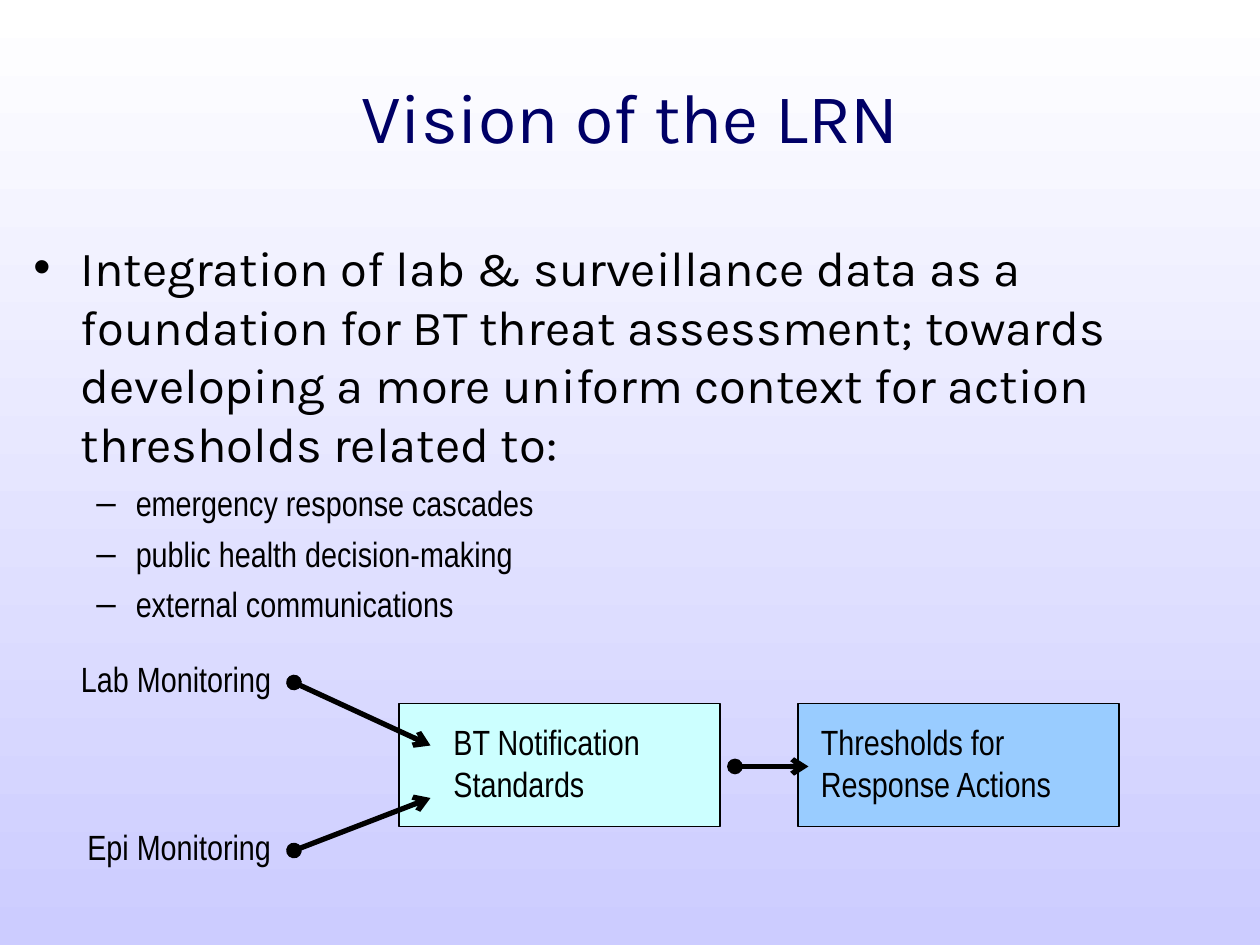
import pptx
import pptx.dml.color
import pptx.enum.shapes
import pptx.enum.text
import pptx.oxml.ns
import pptx.util
from lxml import etree

Pt = pptx.util.Pt
ALIGN = pptx.enum.text.PP_ALIGN
ANCHOR = pptx.enum.text.MSO_ANCHOR
COLORS = {
    "title": "000066",
    "ink": "000000",
    "top": "FFFFFF",
    "bottom": "CCCCFF",
    "standards": "CCFFFF",
    "thresholds": "99CCFF",
}


def color(name):
    return pptx.dml.color.RGBColor.from_string(COLORS[name])


def add_element(parent, tag, **attributes):
    return etree.SubElement(parent, pptx.oxml.ns.qn(tag), **attributes)


def add_frame(page, box, anchor=ANCHOR.TOP):
    frame = page.shapes.add_textbox(*map(Pt, box)).text_frame
    frame.word_wrap = True
    frame.vertical_anchor = anchor
    return frame


def write(para, text, size=20, font="Arial Narrow", ink="ink", align=ALIGN.LEFT,
          before=0, bullet=None, indent=0, hanging=0, level=0):
    para.alignment = align
    para.level = level
    para.space_before = Pt(before)
    if bullet:
        properties = para._p.get_or_add_pPr()
        properties.set("marL", str(Pt(indent)))
        properties.set("indent", str(-Pt(hanging)))
        tint = add_element(properties, "a:buClr")
        add_element(tint, "a:srgbClr", val=COLORS["ink"])
        add_element(properties, "a:buFont", typeface="Arial")
        add_element(properties, "a:buChar", char=bullet)
    span = para.add_run()
    span.text = text
    span.font.size = Pt(size)
    span.font.name = font
    span.font.color.rgb = color(ink)


def add_background(page):
    fill = page.background.fill
    fill.gradient()
    fill.gradient_angle = 270
    for stop, name, position in zip(fill.gradient_stops, ("top", "bottom"), (0, 1)):
        stop.color.rgb = color(name)
        stop.position = position


def add_title(page, box):
    frame = add_frame(page, box, ANCHOR.MIDDLE)
    write(frame.paragraphs[0], "Vision of the LRN", size=40, font="Karla",
          ink="title", align=ALIGN.CENTER)


def add_body(page, box):
    frame = add_frame(page, box)
    write(frame.paragraphs[0],
          "Integration of lab & surveillance data as a foundation for BT threat "
          "assessment; towards developing a more uniform context for action "
          "thresholds related to:",
          size=28, font="Karla", bullet="•", indent=27, hanging=27)
    for topic in ("emergency response cascades", "public health decision-making",
                  "external communications"):
        write(frame.add_paragraph(), topic, before=5, bullet="–",
              indent=58.5, hanging=22.5, level=1)


def add_label(page, box, text, align=ALIGN.LEFT):
    write(add_frame(page, box).paragraphs[0], text, align=align)


def add_stage(page, box, text, fill, inset, label_width):
    left, top, width, height = box
    panel = page.shapes.add_shape(
        pptx.enum.shapes.MSO_SHAPE.RECTANGLE, *map(Pt, box))
    panel.shadow.inherit = False
    panel.fill.solid()
    panel.fill.fore_color.rgb = color(fill)
    panel.line.color.rgb = color("ink")
    panel.line.width = Pt(0.75)
    add_label(page, (left + inset, top + 6, label_width, 55.5), text)


def add_arrow(page, start, end):
    arrow = page.shapes.add_connector(
        pptx.enum.shapes.MSO_CONNECTOR.STRAIGHT, *map(Pt, start + end))
    arrow.line.color.rgb = color("ink")
    arrow.line.width = Pt(3)
    outline = arrow.line._get_or_add_ln()
    add_element(outline, "a:headEnd", type="oval")
    add_element(outline, "a:tailEnd", type="arrow")
    add_element(arrow._element.spPr, "a:effectLst")


def add_flow(page, box):
    left, top, width, height = box
    stage_top, stage_width, stage_height = top + 30, 183.5, 70.5
    add_stage(page, (left + width - stage_width, stage_top, stage_width, stage_height),
              "Thresholds for Response Actions", "thresholds", 6, 180)
    add_stage(page, (left + 198, stage_top, stage_width, stage_height),
              "BT Notification Standards", "standards", 24, 156)
    for source, offset, target in (("Lab Monitoring", 0, 54), ("Epi Monitoring", 96, 84)):
        add_label(page, (left, top + offset, 132, 31.5), source, ALIGN.RIGHT)
        add_arrow(page, (left + 138, top + offset + 18), (left + 216, top + target))
    add_arrow(page, (left + 390, top + 66), (left + 432, top + 66))


def main():
    deck = pptx.Presentation()
    deck.slide_width, deck.slide_height = Pt(720), Pt(540)
    page = deck.slides.add_slide(deck.slide_layouts[6])
    add_background(page)
    add_title(page, (12, 12, 696, 108))
    add_body(page, (12, 132, 696, 396))
    add_flow(page, (30, 372, 609.5, 127.5))
    deck.save("out.pptx")


if __name__ == "__main__":
    main()
